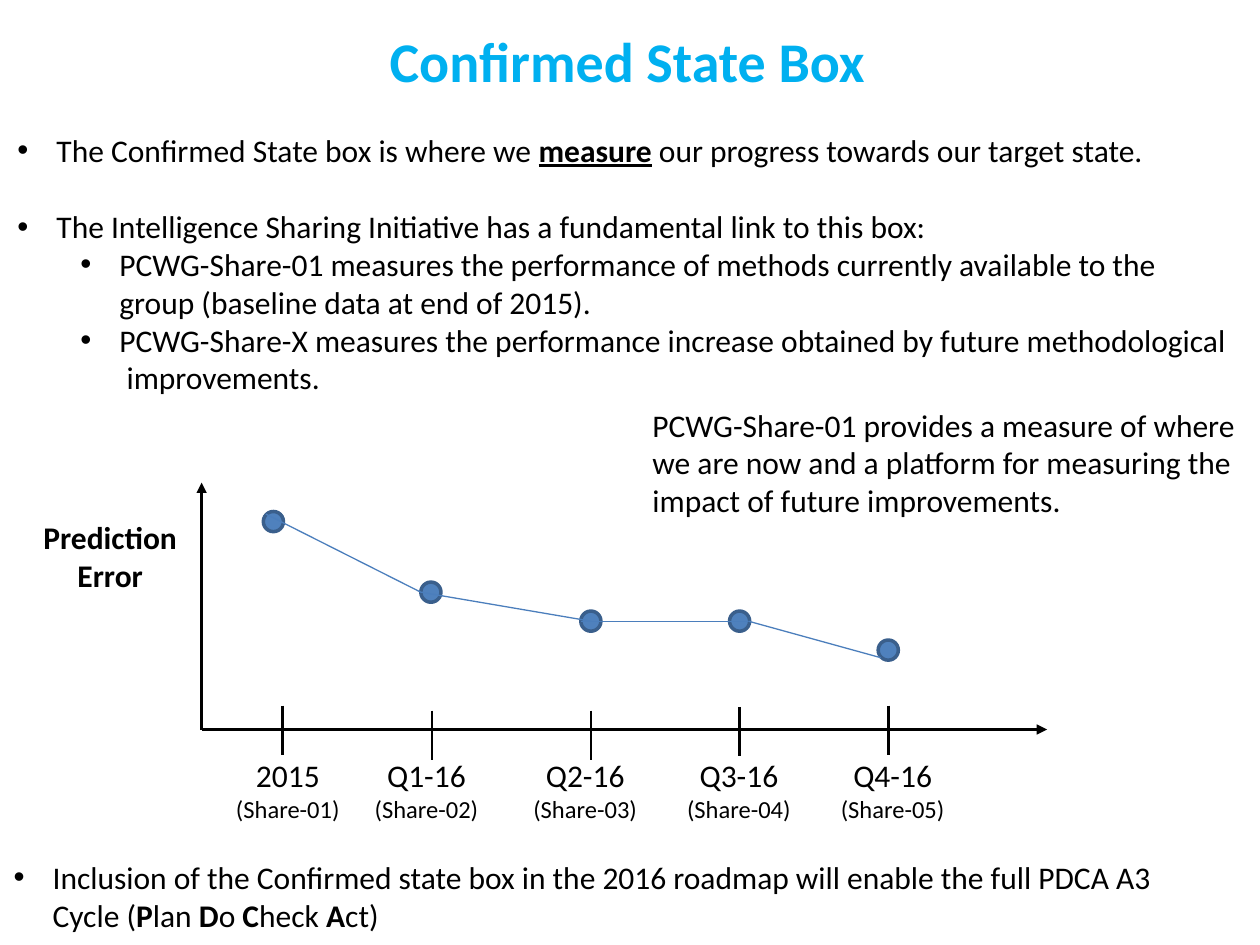
import dataclasses
import typing

import pptx
import pptx.dml.color
import pptx.enum.dml
import pptx.enum.shapes
import pptx.enum.text
import pptx.oxml
import pptx.oxml.ns
import pptx.util

Inches = pptx.util.Inches
Pt = pptx.util.Pt
ALIGN = pptx.enum.text.PP_ALIGN
ANCHOR = pptx.enum.text.MSO_ANCHOR
FIT = pptx.enum.text.MSO_AUTO_SIZE

FONT = "Calibri"
BLACK = "000000"
TITLE_BLUE = "00B0F0"
MARKER_FILL = "4F81BD"
MARKER_LINE = "3A5F8C"
TREND_BLUE = "4B7EBC"
MARKER_SIZE = 0.16
TICK_LENGTH = 0.39
AXIS_LEFT, AXIS_TOP, AXIS_RIGHT, AXIS_BASE = 1.6, 3.83, 8.31, 5.79
LABEL_TOP, LABEL_HEIGHT = 5.95, 0.64


@dataclasses.dataclass
class Span:
    text: str
    format: dict = dataclasses.field(default_factory=dict)


@dataclasses.dataclass
class Para:
    spans: list[Span]
    size: float = 18
    align: typing.Any = ALIGN.LEFT
    indent: float | None = None
    level: int = 0
    space_before: float = 0
    color: str = BLACK


@dataclasses.dataclass
class Quarter:
    name: str
    share: str
    label_left: float
    label_width: float
    wrap: bool
    tick: tuple[float, float]
    marker: tuple[float, float]


QUARTERS = [
    Quarter("2015", "(Share-01)", 1.22, 2.13, True, (2.24, 5.6), (2.09, 4.06)),
    Quarter("Q1-16", "(Share-02)", 2.87, 1.03, False, (3.43, 5.64), (3.34, 4.62)),
    Quarter("Q2-16", "(Share-03)", 4.13, 1.03, False, (4.69, 5.64), (4.61, 4.85)),
    Quarter("Q3-16", "(Share-04)", 5.35, 1.03, False, (5.87, 5.61), (5.79, 4.85)),
    Quarter("Q4-16", "(Share-05)", 6.57, 1.03, False, (7.05, 5.6), (6.97, 5.08)),
]

TREND = [
    ((2.11, 4.08), (3.34, 4.7)),
    ((3.34, 4.7), (4.69, 4.93)),
    ((4.61, 4.93), (5.94, 4.93)),
    ((5.94, 4.93), (6.99, 5.22)),
]

BOLD = {"bold": True}


def rgb(value: str) -> pptx.dml.color.RGBColor:
    return pptx.dml.color.RGBColor.from_string(value)


def set_all(target: typing.Any, values: dict) -> None:
    for name, value in values.items():
        setattr(target, name, value)


def bullet(text: str, **options: typing.Any) -> Para:
    return Para([Span(text)], **{"indent": 0.31, **options})


def centred(text: str, size: float = 18, **format: typing.Any) -> Para:
    return Para([Span(text, format)], size, ALIGN.CENTER)


def add_bullet(paragraph: typing.Any, indent: float) -> None:
    """Give the paragraph a hanging bullet."""
    properties = paragraph._p.get_or_add_pPr()
    properties.set("marL", str(Inches(indent)))
    properties.set("indent", str(Inches(-0.31)))
    for tag, name, value in (("a:buFont", "typeface", "Arial"), ("a:buChar", "char", "•")):
        element = pptx.oxml.parse_xml(f"<{tag} {pptx.oxml.ns.nsdecls('a')}/>")
        element.set(name, value)
        properties.append(element)


def add_text(page: typing.Any, at: tuple, paras: list[Para], **frame_format: typing.Any) -> None:
    box = page.shapes.add_textbox(*map(Inches, at))
    frame = box.text_frame
    set_all(frame, {"word_wrap": True, "auto_size": FIT.SHAPE_TO_FIT_TEXT, **frame_format})
    for index, para in enumerate(paras):
        paragraph = frame.add_paragraph() if index else frame.paragraphs[0]
        set_all(paragraph, {"alignment": para.align, "level": para.level,
                            "space_before": Pt(para.space_before)})
        if para.indent is not None:
            add_bullet(paragraph, para.indent)
        for span in para.spans:
            run = paragraph.add_run()
            run.text = span.text
            set_all(run.font, {"name": FONT, "size": Pt(para.size), **span.format})
            run.font.color.rgb = rgb(para.color)


def add_line(page: typing.Any, start: tuple, end: tuple, color: str = BLACK,
             width: float = 1.5, arrow: bool = False) -> None:
    line = page.shapes.add_connector(
        pptx.enum.shapes.MSO_CONNECTOR.STRAIGHT, *map(Inches, (*start, *end)))
    line.line.color.rgb = rgb(color)
    line.line.width = Pt(width)
    namespace = pptx.oxml.ns.nsdecls("a")
    if arrow:
        line.line._get_or_add_ln().append(
            pptx.oxml.parse_xml(f'<a:tailEnd {namespace} type="triangle"/>'))
    line._element.spPr.append(pptx.oxml.parse_xml(f"<a:effectLst {namespace}/>"))


def add_marker(page: typing.Any, left: float, top: float) -> None:
    marker = page.shapes.add_shape(
        pptx.enum.shapes.MSO_SHAPE.OVAL,
        *map(Inches, (left, top, MARKER_SIZE, MARKER_SIZE)))
    marker.shadow.inherit = False
    marker.fill.solid()
    marker.fill.fore_color.rgb = rgb(MARKER_FILL)
    marker.line.color.rgb = rgb(MARKER_LINE)
    marker.line.width = Pt(2)


def add_graph(page: typing.Any) -> None:
    origin = (AXIS_LEFT, AXIS_BASE)
    add_line(page, origin, (AXIS_LEFT, AXIS_TOP), arrow=True)
    add_line(page, origin, (AXIS_RIGHT, AXIS_BASE), arrow=True)
    add_text(page, (0.16, 4.06, 1.43, 0.71),
             [centred("Prediction", bold=True), centred("Error", bold=True)])
    for quarter in QUARTERS:
        x, top = quarter.tick
        add_line(page, (x, top), (x, top + TICK_LENGTH))
        add_text(page, (quarter.label_left, LABEL_TOP, quarter.label_width, LABEL_HEIGHT),
                 [centred(quarter.name), centred(quarter.share, 14)],
                 word_wrap=quarter.wrap)
        add_marker(page, *quarter.marker)
    for start, end in TREND:
        add_line(page, start, end, TREND_BLUE, 0.75)


def main() -> None:
    deck = pptx.Presentation()
    set_all(deck, {"slide_width": Inches(10), "slide_height": Inches(7.5)})
    page = deck.slides.add_slide(deck.slide_layouts[6])

    title = Para([Span("Confirmed State Box", BOLD)], 32, ALIGN.CENTER, color=TITLE_BLUE)
    add_text(page, (0.16, 0.11, 9.64, 0.73), [title], auto_size=FIT.NONE,
             vertical_anchor=ANCHOR.MIDDLE,
             margin_left=Inches(0.14), margin_right=Inches(0.14),
             margin_top=Inches(0.07), margin_bottom=Inches(0.07))
    add_text(page, (0.04, 0.99, 9.8, 2.52), [
        Para([Span("The Confirmed State box is where we "),
              Span("measure", {"bold": True, "underline": True}),
              Span(" our progress towards our target state.")], indent=0.31),
        bullet("The Intelligence Sharing Initiative has a fundamental link to this box:",
               space_before=22),
        bullet("PCWG-Share-01 measures the performance of methods currently available "
               "to the group (baseline data at end of 2015).", indent=0.81, level=1),
        bullet("PCWG-Share-X measures the performance increase obtained by future "
               "methodological  improvements.", indent=0.81, level=1),
    ])
    add_graph(page)
    add_text(page, (5.08, 3.17, 4.92, 1.01), [
        Para([Span("PCWG-Share-01 provides a measure of where we are now and a platform "
                   "for measuring the impact of future improvements.")])])
    add_text(page, (0.01, 6.76, 9.8, 1.01), [Para([
        Span("Inclusion of the Confirmed state box in the 2016 roadmap will enable "
             "the full PDCA A3 Cycle ("),
        Span("P", BOLD), Span("lan "), Span("D", BOLD), Span("o "),
        Span("C", BOLD), Span("heck "), Span("A", BOLD), Span("ct)")], indent=0.31)])
    deck.save("out.pptx")


if __name__ == "__main__":
    main()
